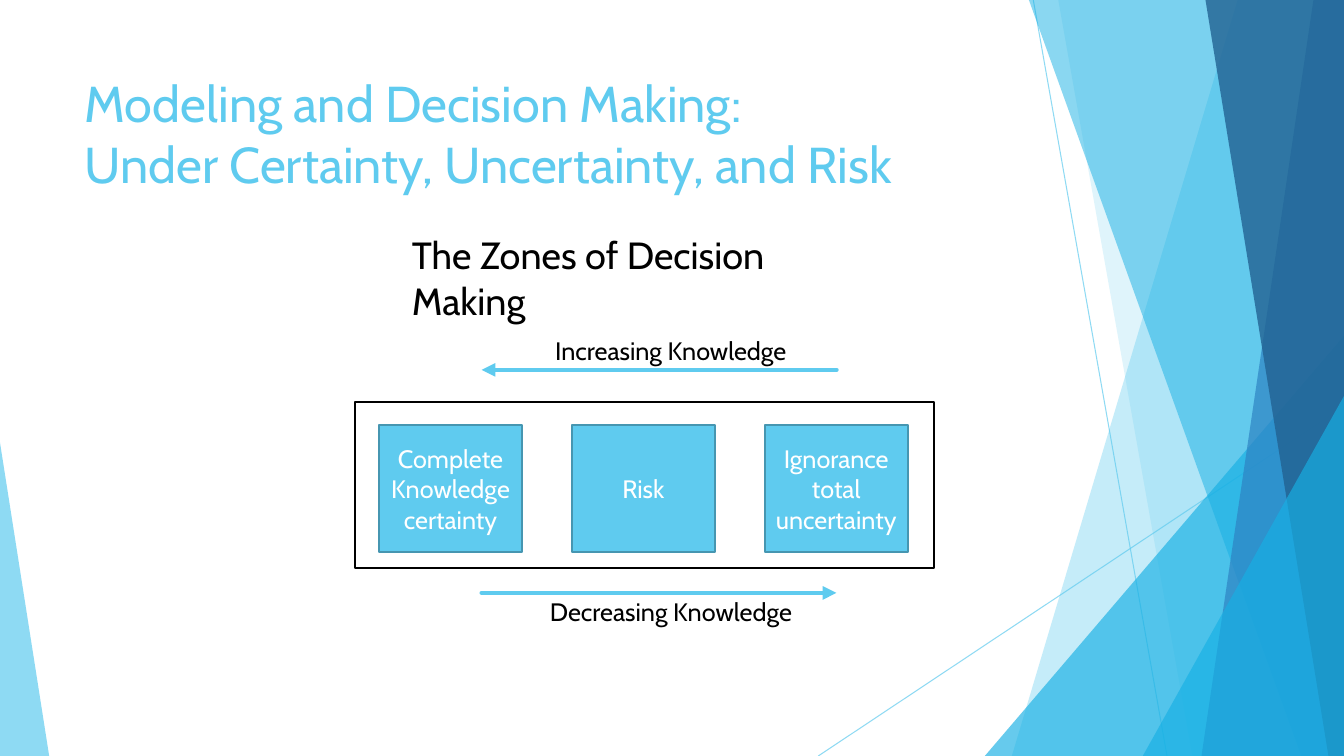
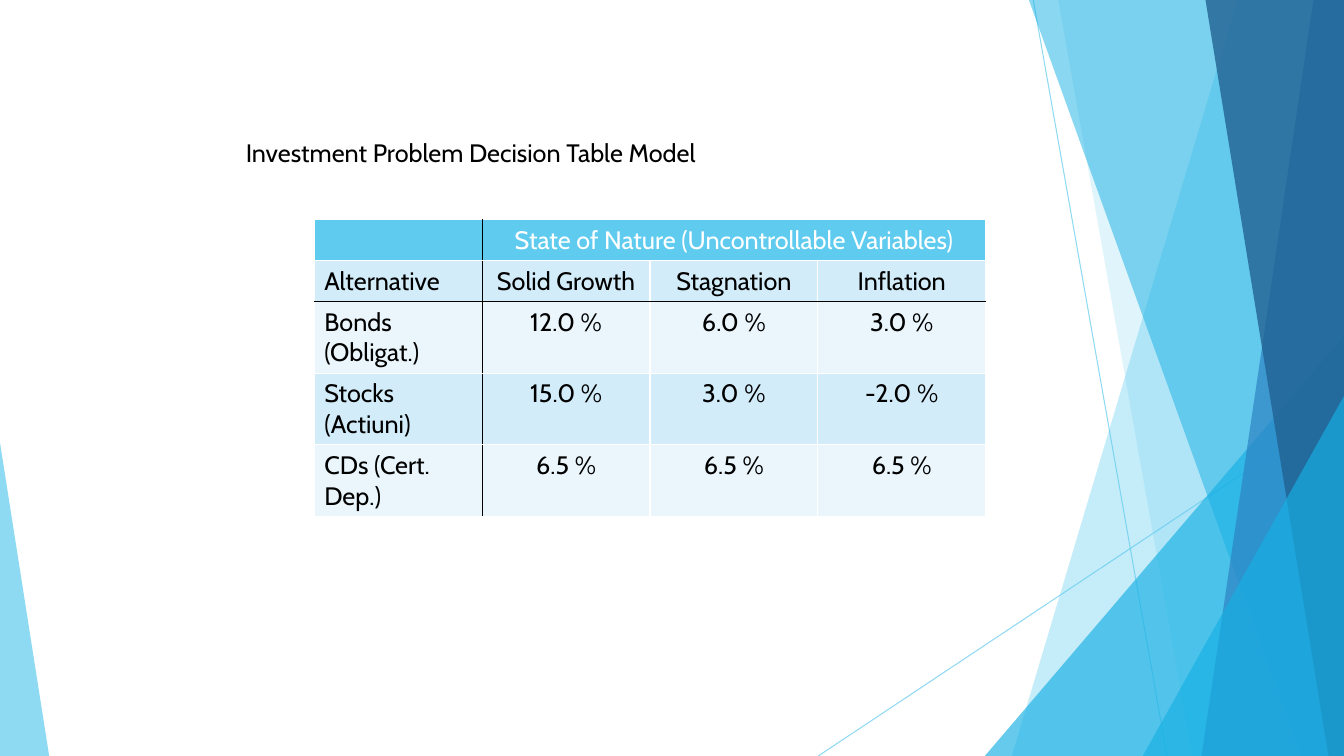
import dataclasses
import typing

import lxml.etree
import pptx
import pptx.dml.color
import pptx.dml.fill
import pptx.enum.shapes
import pptx.enum.text
import pptx.oxml.ns
import pptx.util

Cm = pptx.util.Cm
qn = pptx.oxml.ns.qn
SHAPE = pptx.enum.shapes.MSO_SHAPE
ALIGN = pptx.enum.text.PP_ALIGN
ANCHOR = pptx.enum.text.MSO_ANCHOR

SLIDE_WIDTH, SLIDE_HEIGHT = 33.87, 19.05
FONT = "Cabin"
TITLE_ONLY_LAYOUT = 5
SKY, AZURE, BLUE, NAVY = "5FCBEF", "17B0E4", "2E83C3", "226292"
BOX_EDGE, PALE, PALEST = "4696B1", "D2ECF9", "EAF6FC"
BLACK, WHITE = "000000", "FFFFFF"


@dataclasses.dataclass(frozen=True)
class Box:
    left: float
    top: float
    width: float
    height: float

    def lengths(self) -> list[pptx.util.Length]:
        return [Cm(value) for value in dataclasses.astuple(self)]


@dataclasses.dataclass(frozen=True)
class Ray:
    """Thin line, from start to end."""
    start: tuple[float, float]
    end: tuple[float, float]


@dataclasses.dataclass(frozen=True)
class Band:
    """Area from a slanted left edge to the right side of the slide."""
    top_left: float
    bottom_left: float
    color: str
    opacity: int


@dataclasses.dataclass(frozen=True)
class Wedge:
    """Triangle on the bottom edge; apex 0 is above its left, 1 its right."""
    left: float
    top: float
    width: float
    apex: int
    color: str
    opacity: int


@dataclasses.dataclass(frozen=True)
class KnowledgeArrow:
    label: str
    label_box: Box
    start_x: float
    end_x: float
    y: float


DECORATIONS = [
    Ray((26.04, 0), (29.41, SLIDE_HEIGHT)),
    Ray((SLIDE_WIDTH, 10.24), (20.62, SLIDE_HEIGHT)),
    Band(31.19, 25.5, SKY, 36),
    Band(26.67, 30.05, SKY, 20),
    Wedge(24.82, 8.46, 9.05, 1, AZURE, 66),
    Band(25.93, 32.79, AZURE, 50),
    Band(33.1, 30.28, BLUE, 70),
    Band(30.38, 33.48, NAVY, 80),
    Wedge(28.8, 9.98, 5.07, 1, AZURE, 66),
    Wedge(0, 11.15, 1.24, 0, SKY, 70),
]

ZONES = ["Complete Knowledge certainty", "Risk", "Ignorance total uncertainty"]
ARROW_LEFT, ARROW_RIGHT = 12.14, 21.08
ARROWS = [
    KnowledgeArrow("Increasing Knowledge", Box(13.74, 8.33, 6.6, 1.02),
                   ARROW_RIGHT, ARROW_LEFT, 9.32),
    KnowledgeArrow("Decreasing Knowledge", Box(13.61, 14.91, 6.71, 1.02),
                   ARROW_LEFT, ARROW_RIGHT, 14.94),
]

DECISION_TABLE = [
    ["", "State of Nature (Uncontrollable Variables)", "", ""],
    ["Alternative", "Solid Growth", "Stagnation", "Inflation"],
    ["Bonds (Obligat.)", "12.0 %", "6.0 %", "3.0 %"],
    ["Stocks (Actiuni)", "15.0 %", "3.0 %", "-2.0 %"],
    ["CDs (Cert. Dep.)", "6.5 %", "6.5 %", "6.5 %"],
]
ROW_FILLS = [SKY, PALE, PALEST, PALE, PALEST]
ROW_HEIGHTS = [1.03, 1.03, 1.8, 1.8, 1.8]
COLUMN_WIDTH = 4.23


def rgb(color: str) -> pptx.dml.color.RGBColor:
    return pptx.dml.color.RGBColor.from_string(color)


def paint(fill: pptx.dml.fill.FillFormat, color: str, opacity: int = 100) -> None:
    fill.solid()
    fill.fore_color.rgb = rgb(color)
    if opacity < 100:
        color_element = fill._xPr.find(qn("a:solidFill"))[0]
        lxml.etree.SubElement(color_element, qn("a:alpha"), val=str(opacity * 1000))


def write(frame: typing.Any, text: str, size: float, color: str,
          alignment: ALIGN = ALIGN.LEFT) -> None:
    """Write one paragraph; each newline becomes a line break."""
    paragraph = frame.paragraphs[0]
    paragraph.alignment = alignment
    for index, line in enumerate(text.split("\n")):
        if index:
            paragraph.add_line_break()
        run = paragraph.add_run()
        run.text = line
        run.font.name = FONT
        run.font.size = pptx.util.Pt(size)
        run.font.bold = False
        run.font.color.rgb = rgb(color)


def add_title(slide: typing.Any, text: str, box: Box, size: float, color: str) -> None:
    title = slide.shapes.title
    title.left, title.top, title.width, title.height = box.lengths()
    frame = title.text_frame
    frame.auto_size = pptx.enum.text.MSO_AUTO_SIZE.NONE
    frame.word_wrap = True
    frame.vertical_anchor = ANCHOR.TOP
    write(frame, text, size, color)


def add_label(slide: typing.Any, text: str, box: Box, size: float) -> None:
    frame = slide.shapes.add_textbox(*box.lengths()).text_frame
    frame.word_wrap = True
    write(frame, text, size, BLACK)


def add_rectangle(slide: typing.Any, box: Box, fill: str, edge: str) -> typing.Any:
    shape = slide.shapes.add_shape(SHAPE.RECTANGLE, *box.lengths())
    shape.shadow.inherit = False
    paint(shape.fill, fill)
    paint(shape.line.fill, edge)
    shape.line.width = pptx.util.Pt(1.5)
    return shape


def add_line(slide: typing.Any, start: tuple[float, float], end: tuple[float, float],
             width: float, opacity: int = 100, arrow: bool = False) -> typing.Any:
    connector = slide.shapes.add_connector(
        pptx.enum.shapes.MSO_CONNECTOR.STRAIGHT,
        *(Cm(value) for value in (*start, *end)))
    line = connector.line
    line.width = pptx.util.Pt(width)
    paint(line.fill, SKY, opacity)
    if arrow:
        outline = line.fill._xPr
        outline.set("cap", "rnd")
        lxml.etree.SubElement(outline, qn("a:tailEnd"), type="triangle")
    lxml.etree.SubElement(connector.element.spPr, qn("a:effectLst"))
    return connector


def add_decoration(slide: typing.Any, item: Ray | Band | Wedge) -> typing.Any:
    if isinstance(item, Ray):
        return add_line(slide, item.start, item.end, 0.75, 70)
    if isinstance(item, Band):
        builder = slide.shapes.build_freeform(Cm(item.top_left), 0)
        corners = [(SLIDE_WIDTH, 0), (SLIDE_WIDTH, SLIDE_HEIGHT),
                   (item.bottom_left, SLIDE_HEIGHT)]
        builder.add_line_segments([(Cm(x), Cm(y)) for x, y in corners], close=True)
        shape = builder.convert_to_shape()
    else:
        box = Box(item.left, item.top, item.width, SLIDE_HEIGHT - item.top)
        shape = slide.shapes.add_shape(SHAPE.ISOSCELES_TRIANGLE, *box.lengths())
        shape.adjustments[0] = item.apex
    shape.shadow.inherit = False
    shape.line.fill.background()
    paint(shape.fill, item.color, item.opacity)
    return shape


def decorate_master(presentation: typing.Any, slide: typing.Any) -> None:
    """Draw the decorations on a slide, then move them behind the master's text."""
    master_tree = presentation.slide_master.element.cSld.spTree
    for index, item in enumerate(DECORATIONS):
        element = add_decoration(slide, item).element
        element.xpath(".//p:cNvPr")[0].set("id", str(100 + index))
        master_tree.insert(2 + index, element)


def set_borders(cell: typing.Any, colors: dict[str, str]) -> None:
    properties = cell._tc.get_or_add_tcPr()
    for side, color in colors.items():
        border = lxml.etree.SubElement(properties, qn(f"a:ln{side}"), w="12700")
        fill = lxml.etree.SubElement(border, qn("a:solidFill"))
        lxml.etree.SubElement(fill, qn("a:srgbClr"), val=color)


def add_decision_table(slide: typing.Any) -> None:
    row_count, column_count = len(DECISION_TABLE), len(DECISION_TABLE[0])
    box = Box(7.92, 5.54, COLUMN_WIDTH * column_count, sum(ROW_HEIGHTS))
    table = slide.shapes.add_table(row_count, column_count, *box.lengths()).table
    table.first_row = table.horz_banding = False
    for column in table.columns:
        column.width = Cm(COLUMN_WIDTH)
    for row, height in zip(table.rows, ROW_HEIGHTS):
        row.height = Cm(height)
    table.cell(0, 1).merge(table.cell(0, column_count - 1))
    for row_index, texts in enumerate(DECISION_TABLE):
        for column_index, text in enumerate(texts):
            cell = table.cell(row_index, column_index)
            set_borders(cell, {
                "L": BLACK if column_index == 1 else WHITE,
                "R": BLACK if column_index == 0 else WHITE,
                "T": BLACK if row_index == 2 else WHITE,
                "B": BLACK if row_index == 1 else WHITE,
            })
            paint(cell.fill, ROW_FILLS[row_index])
            if text:
                write(cell.text_frame, text, 18, BLACK if row_index else WHITE,
                      ALIGN.CENTER if column_index else ALIGN.LEFT)


def fill_zones_slide(slide: typing.Any) -> None:
    add_title(slide, "Modeling and Decision Making:\nUnder Certainty, Uncertainty, and Risk",
              Box(1.88, 1.7, 23.88, 3.66), 36, SKY)
    add_label(slide, "The Zones of Decision Making", Box(10.13, 5.72, 12.34, 1.42), 27)
    add_rectangle(slide, Box(8.94, 10.13, 14.6, 4.19), WHITE, BLACK)
    for index, zone in enumerate(ZONES):
        box = Box(9.55 + index * 4.86, 10.72, 3.61, 3.2)
        frame = add_rectangle(slide, box, SKY, BOX_EDGE).text_frame
        frame.word_wrap = True
        frame.vertical_anchor = ANCHOR.MIDDLE
        write(frame, zone, 18, WHITE, ALIGN.CENTER)
    for arrow in ARROWS:
        add_line(slide, (arrow.start_x, arrow.y), (arrow.end_x, arrow.y), 3.25, arrow=True)
        add_label(slide, arrow.label, arrow.label_box, 18)


def fill_table_slide(slide: typing.Any) -> None:
    add_title(slide, "Investment Problem Decision Table Model",
              Box(5.94, 3.33, 15.98, 1.02), 18, BLACK)
    add_decision_table(slide)


def main() -> None:
    presentation = pptx.Presentation()
    presentation.slide_width = Cm(SLIDE_WIDTH)
    presentation.slide_height = Cm(SLIDE_HEIGHT)
    layout = presentation.slide_layouts[TITLE_ONLY_LAYOUT]
    zones_slide, table_slide = (presentation.slides.add_slide(layout) for _ in range(2))
    decorate_master(presentation, zones_slide)
    fill_zones_slide(zones_slide)
    fill_table_slide(table_slide)
    presentation.save("out.pptx")


if __name__ == "__main__":
    main()
